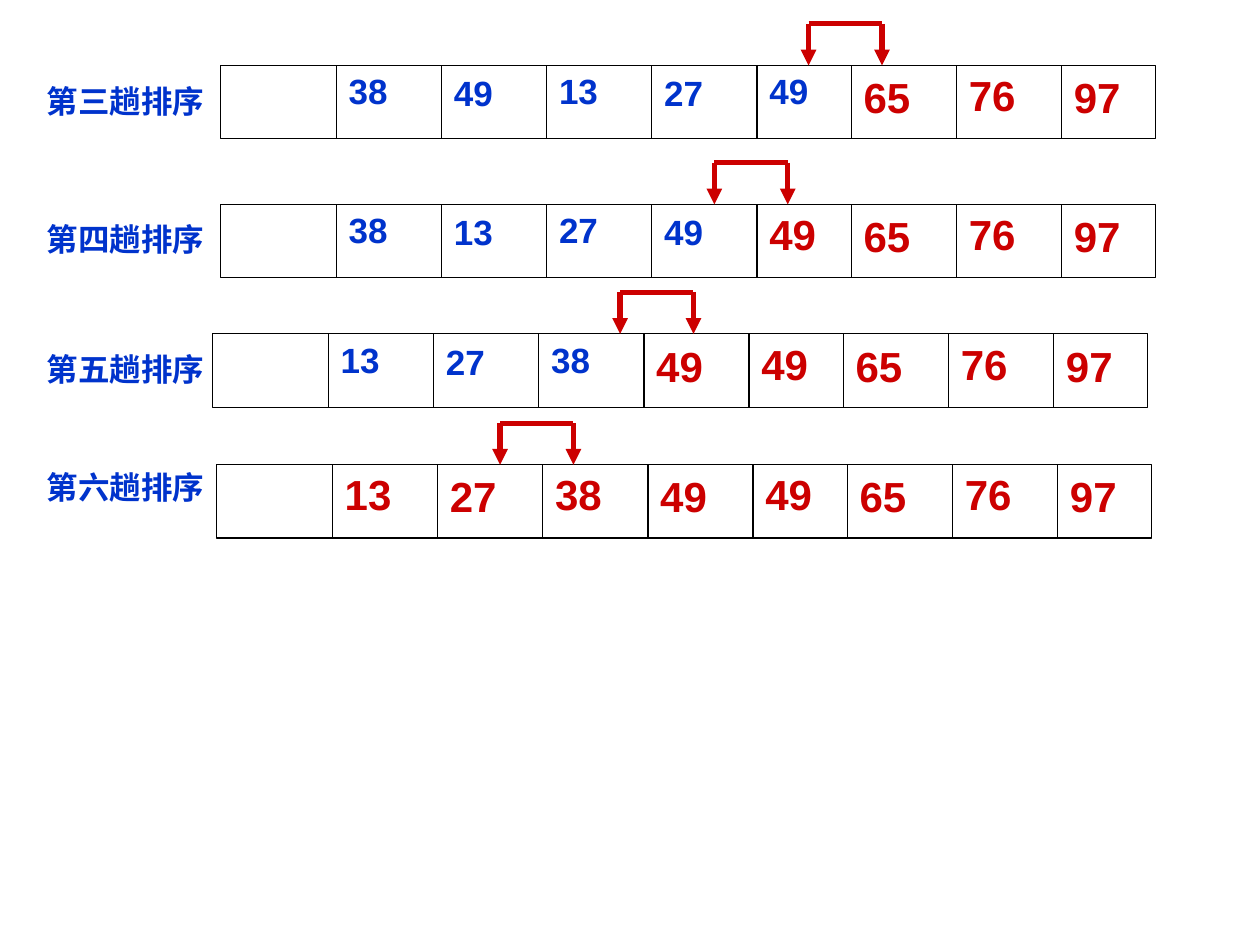
from dataclasses import dataclass
from itertools import accumulate

from lxml.etree import SubElement
from pptx import Presentation
from pptx.dml.color import RGBColor
from pptx.enum.shapes import MSO_CONNECTOR as Connector, MSO_SHAPE as Shape
from pptx.enum.text import MSO_AUTO_SIZE as AutoSize
from pptx.oxml.ns import qn
from pptx.util import Cm, Pt


@dataclass(frozen=True)
class Theme:
    font: str = "Arial"
    blue: RGBColor = RGBColor(0x00, 0x33, 0xCC)
    red: RGBColor = RGBColor(0xCC, 0x00, 0x00)
    black: RGBColor = RGBColor(0x00, 0x00, 0x00)
    white: RGBColor = RGBColor(0xFF, 0xFF, 0xFF)
    label_size: int = 18
    unsorted_size: int = 20
    sorted_size: int = 24
    cell_line: float = 0.75
    arrow_line: float = 3


THEME = Theme()

ROW_WIDTH, ROW_HEIGHT = 18.85, 1.48
DIVIDERS = list(accumulate([2.33, 2.12, 2.12, 2.12, 2.12, 1.9, 2.12, 2.12]))
LABEL_LEFT = 0.69
BRACKET_WIDTH, BRACKET_HEIGHT = 1.48, 0.84


@dataclass(frozen=True)
class SortPass:
    label: str
    label_top: float
    left: float
    top: float
    values: tuple
    unsorted_count: int
    bracket_left: float


PASSES = [
    SortPass("第三趟排序", 1.52, 4.45, 1.32, (38, 49, 13, 27, 49, 65, 76, 97), 5, 16.3),
    SortPass("第四趟排序", 4.32, 4.45, 4.12, (38, 13, 27, 49, 49, 65, 76, 97), 4, 14.4),
    SortPass("第五趟排序", 6.93, 4.29, 6.73, (13, 27, 38, 49, 49, 65, 76, 97), 3, 12.5),
    SortPass("第六趟排序", 9.32, 4.37, 9.37, (13, 27, 38, 49, 49, 65, 76, 97), 0, 10.08),
]


def add_text(s, text, left, top, width, height, size, color):
    sp = s.shapes.add_textbox(Cm(left), Cm(top), Cm(width), Cm(height))
    tf = sp.text_frame
    tf.word_wrap = True
    tf.auto_size = AutoSize.SHAPE_TO_FIT_TEXT
    r = tf.paragraphs[0].add_run()
    r.text = text
    r.font.name = THEME.font
    r.font.size = Pt(size)
    r.font.bold = True
    r.font.color.rgb = color


def add_line(group, x1, y1, x2, y2, color, width, arrow=False):
    sp = group.shapes.add_connector(Connector.STRAIGHT, Cm(x1), Cm(y1), Cm(x2), Cm(y2))
    sp.line.color.rgb = color
    sp.line.width = Pt(width)
    if arrow:
        SubElement(sp.line._get_or_add_ln(), qn("a:tailEnd"), type="triangle")
    SubElement(sp._element.spPr, qn("a:effectLst"))


def add_cells(s, left, top):
    group = s.shapes.add_group_shape()
    sp = group.shapes.add_shape(Shape.RECTANGLE, Cm(left), Cm(top), Cm(ROW_WIDTH), Cm(ROW_HEIGHT))
    sp.shadow.inherit = False
    sp.fill.solid()
    sp.fill.fore_color.rgb = THEME.white
    sp.line.color.rgb = THEME.black
    sp.line.width = Pt(THEME.cell_line)
    for x in DIVIDERS:
        add_line(group, left + x, top, left + x, top + ROW_HEIGHT, THEME.black, THEME.cell_line)


def add_values(s, sort_pass):
    for i, (value, x) in enumerate(zip(sort_pass.values, DIVIDERS)):
        if i < sort_pass.unsorted_count:
            height, size, color = 1.12, THEME.unsorted_size, THEME.blue
        else:
            height, size, color = 1.27, THEME.sorted_size, THEME.red
        top = sort_pass.top - (0.04 if i % 2 == 0 else 0)
        add_text(s, str(value), sort_pass.left + x, top, 1.7, height, size, color)


def add_bracket(s, left, bottom):
    group = s.shapes.add_group_shape()
    right, top = left + BRACKET_WIDTH, bottom - BRACKET_HEIGHT
    for x in (left, right):
        add_line(group, x, top, x, bottom, THEME.red, THEME.arrow_line, arrow=True)
    add_line(group, left, top, right, top, THEME.red, THEME.arrow_line)


def main():
    prs = Presentation()
    prs.slide_width, prs.slide_height = Cm(25.4), Cm(19.05)
    s = prs.slides.add_slide(prs.slide_layouts[6])
    for sort_pass in PASSES:
        add_text(s, sort_pass.label, LABEL_LEFT, sort_pass.label_top, 4.9, 1.02,
                 THEME.label_size, THEME.blue)
        add_cells(s, sort_pass.left, sort_pass.top)
        add_values(s, sort_pass)
        add_bracket(s, sort_pass.bracket_left, sort_pass.top)
    prs.save("out.pptx")


if __name__ == "__main__":
    main()
